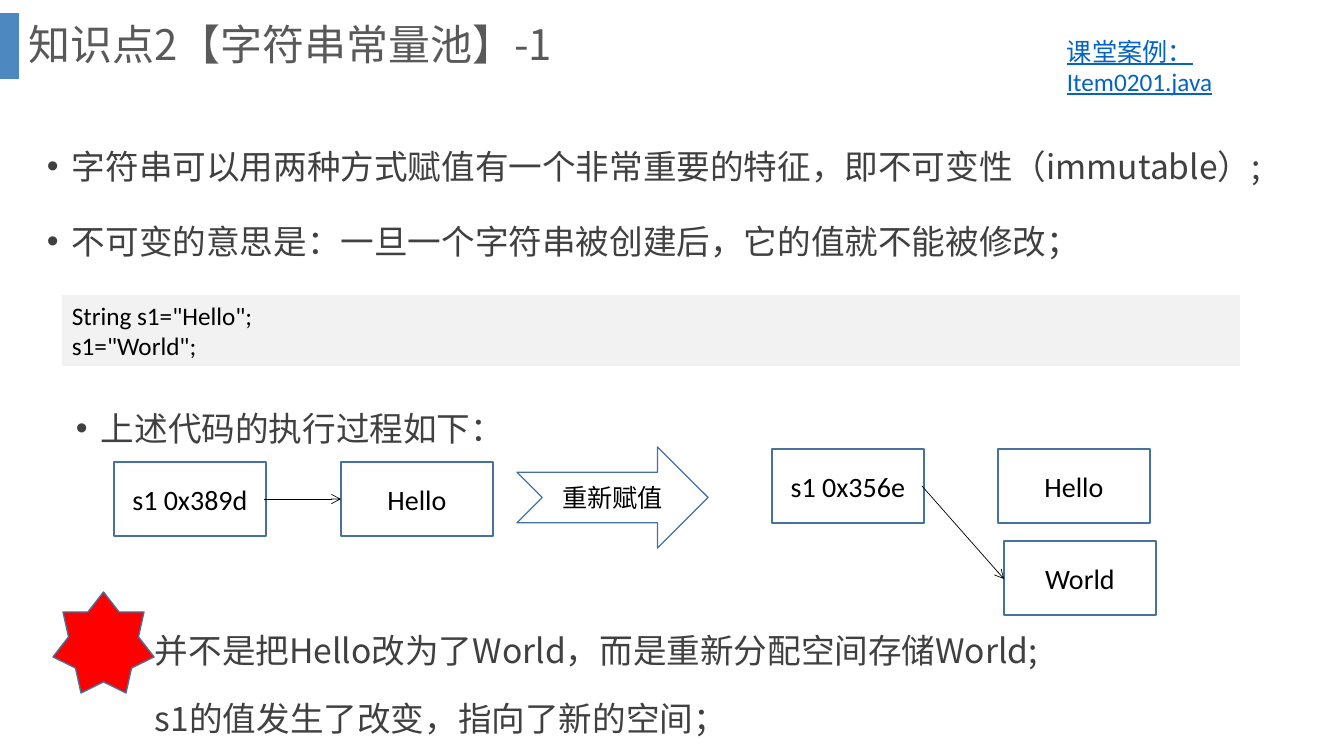
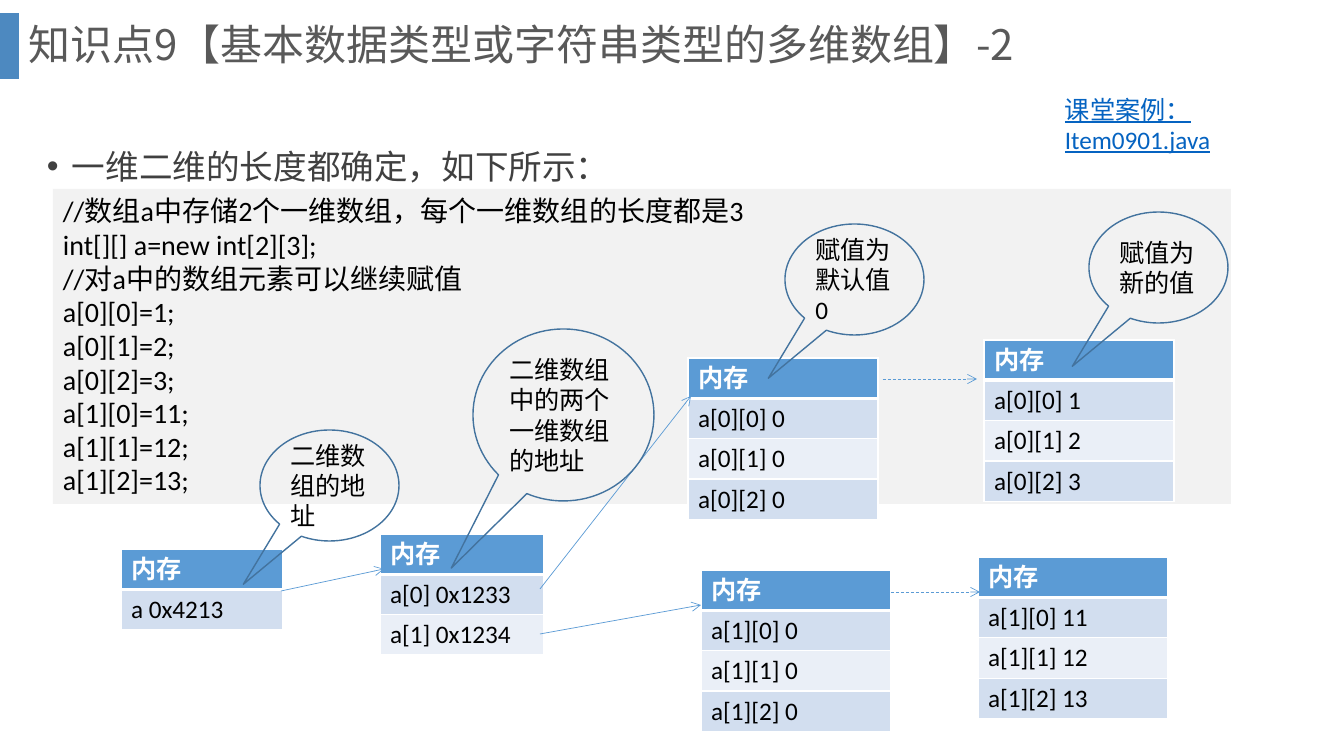
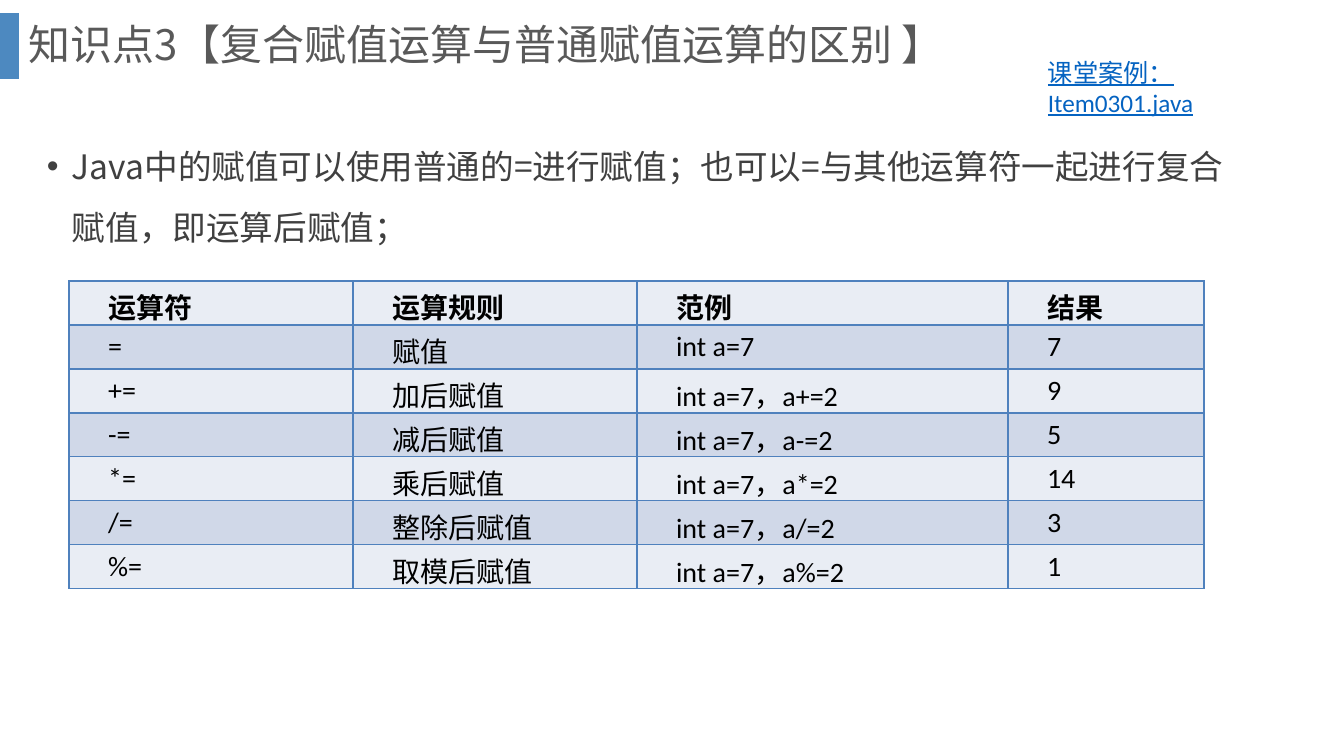
from dataclasses import dataclass
from lxml.etree import SubElement
from pptx import Presentation
from pptx.dml.color import RGBColor
from pptx.enum.dml import MSO_LINE_DASH_STYLE as Dash
from pptx.enum.shapes import MSO_CONNECTOR as Connector, MSO_SHAPE as Shape
from pptx.enum.text import MSO_ANCHOR as Anchor, PP_ALIGN as Align
from pptx.oxml.ns import qn
from pptx.util import Pt

# Content: boxes are (left, top, width, height) in pixels
POOL = {
    "title": "知识点2【字符串常量池】-1",
    "case": ("课堂案例：Item0201.java", (1057, 31)),
    "points": (["字符串可以用两种方式赋值有一个非常重要的特征，即不可变性（immutable）;",
                "不可变的意思是：一旦一个字符串被创建后，它的值就不能被修改；"],
               (37, 121, 1306, 161)),
    "code": (['String s1="Hello";', 's1="World";'], (62, 295, 1178, 71)),
    "process": (["上述代码的执行过程如下："], (66, 383, 1215, 56)),
    "notes": (["并不是把Hello改为了World，而是重新分配空间存储World;",
               "s1的值发生了改变，指向了新的空间；"], (94, 605, 1215, 151)),
    "cells": [("s1 0x389d", 114, 462), ("Hello", 341, 462), ("s1 0x356e", 772, 449),
              ("Hello", 998, 449), ("World", 1004, 541)],
    "reassign": ("重新赋值", (517, 447, 191, 101)),
    "star": (53, 592, 101, 101),
    "arrows": [(264, 499, 341, 499), (922, 486, 1004, 579)],
}
ARRAYS = {
    "title": "知识点9【基本数据类型或字符串类型的多维数组】-2",
    "case": ("课堂案例：Item0901.java", (1055, 89)),
    "points": (["一维二维的长度都确定，如下所示："], (37, 121, 1215, 78)),
    "code": (["//数组a中存储2个一维数组，每个一维数组的长度都是3", "int[][] a=new int[2][3];",
              "//对a中的数组元素可以继续赋值", "a[0][0]=1;", "a[0][1]=2;", "a[0][2]=3;",
              "a[1][0]=11;", "a[1][1]=12;", "a[1][2]=13;"], (53, 189, 1178, 315)),
    "memory": [((121, 549, 162), ["a 0x4213"]),
               ((380, 534, 164), ["a[0] 0x1233", "a[1] 0x1234"]),
               ((688, 358, 190), ["a[0][0] 0", "a[0][1] 0", "a[0][2] 0"]),
               ((701, 570, 190), ["a[1][0] 0", "a[1][1] 0", "a[1][2] 0"]),
               ((984, 340, 190), ["a[0][0] 1", "a[0][1] 2", "a[0][2] 3"]),
               ((978, 557, 190), ["a[1][0] 11", "a[1][1] 12", "a[1][2] 13"])],
    "links": [(540, 589, 691, 396), (540, 634, 701, 605), (281, 591, 384, 569)],
    "updates": [(883, 379, 977, 379), (886, 592, 980, 592)],
    "callouts": [("赋值为默认值0", (785, 224, 139, 111)),
                 ("二维数组的地址", (260, 430, 139, 111)),
                 ("二维数组中的两个一维数组的地址", (473, 329, 181, 172)),
                 ("赋值为新的值", (1089, 212, 139, 111))],
}
OPERATORS = {
    "title": "知识点3【复合赋值运算与普通赋值运算的区别 】",
    "case": ("课堂案例：Item0301.java", (1038, 52)),
    "points": (["Java中的赋值可以使用普通的=进行赋值；也可以=与其他运算符一起进行复合赋值，即运算后赋值；"],
               (37, 121, 1215, 243)),
    "table": [("运算符", "运算规则", "范例", "结果"),
              ("=", "赋值", "int a=7", "7"),
              ("+=", "加后赋值", "int a=7，a+=2", "9"),
              ("-=", "减后赋值", "int a=7，a-=2", "5"),
              ("*=", "乘后赋值", "int a=7，a*=2", "14"),
              ("/=", "整除后赋值", "int a=7，a/=2", "3"),
              ("%=", "取模后赋值", "int a=7，a%=2", "1")],
    "columns": (284, 284, 371, 196),
}


# Theme
@dataclass(frozen=True)
class Type:
    size: int
    color: str
    latin: str = "Calibri"
    asian: str = "Calibri"
    bold: bool = False
    underline: bool = False


class Theme:
    CJK = "Noto Sans CJK SC"
    BAR, CODE, OUTLINE, STAR = "2E75B6", "F2F2F2", "43739E", "FF0000"
    BLACK, WHITE, LINK = "000000", "FFFFFF", "5B9BD5"
    MEMORY_BANDS = ("D2DEEF", "EAEFF7")
    RULE_BANDS, RULE_BORDER = ("E9EDF4", "D0D8E8"), "4F81BD"
    title = Type(30, "595959", CJK, CJK)
    body = Type(24, "404040", CJK, CJK)
    case = Type(18, "0563C1", underline=True)
    small = Type(18, BLACK)
    large = Type(20, BLACK)
    memory_head = Type(18, WHITE, bold=True)
    rule = Type(20, BLACK, asian=CJK)
    rule_head = Type(20, BLACK, asian=CJK, bold=True)


SCALE = 914400 / 100.8


def px(*lengths):
    return [round(length * SCALE) for length in lengths]


def rgb(color):
    return RGBColor.from_string(color)


# Text
def write(frame, lines, style, align=None, spacing=None, before=None,
          margin=0, indent=0, bullet=False):
    frame.text = "\n".join(lines)
    for para in frame.paragraphs:
        para.alignment, para.line_spacing = align, spacing
        if before is not None:
            para.space_before = Pt(before)
        props = para._p.get_or_add_pPr()
        props.set("marL", str(px(margin)[0]))
        props.set("indent", str(px(indent)[0]))
        if bullet:
            SubElement(props, qn("a:buFont"), typeface="Arial")
            SubElement(props, qn("a:buChar"), char="•")
        for span in para.runs:
            font = span.font
            font.size, font.name = Pt(style.size), style.latin
            font.bold, font.underline = style.bold, style.underline
            font.color.rgb = rgb(style.color)
            SubElement(span._r.get_or_add_rPr(), qn("a:ea"), typeface=style.asian)


def add_text(page, box, lines, style, anchor=Anchor.TOP, **layout):
    frame = page.shapes.add_textbox(*px(*box)).text_frame
    frame.word_wrap, frame.vertical_anchor = True, anchor
    write(frame, lines, style, **layout)


def add_points(page, box, lines):
    add_text(page, box, lines, Theme.body, spacing=1.5, before=10,
             margin=25, indent=-25, bullet=True)


# Shapes and lines
def add_figure(page, kind, box, fill=None, line=Theme.OUTLINE, lines=(),
               style=Theme.small, anchor=Anchor.MIDDLE, align=Align.CENTER):
    figure = page.shapes.add_shape(kind, *px(*box))
    figure.shadow.inherit = False
    if fill:
        figure.fill.solid()
        figure.fill.fore_color.rgb = rgb(fill)
    else:
        figure.fill.background()
    if line:
        figure.line.color.rgb, figure.line.width = rgb(line), Pt(1)
    else:
        figure.line.fill.background()
    if lines:
        figure.text_frame.word_wrap = True
        figure.text_frame.vertical_anchor = anchor
        write(figure.text_frame, lines, style, align)
    return figure


def add_code(page, box, lines, style):
    add_figure(page, Shape.RECTANGLE, box, Theme.CODE, None, lines, style,
               Anchor.TOP, Align.LEFT)


def add_arrow(page, ends, color, dash=None):
    arrow = page.shapes.add_connector(Connector.STRAIGHT, *px(*ends))
    arrow.line.color.rgb, arrow.line.width = rgb(color), Pt(0.5)
    if dash:
        arrow.line.dash_style = dash
    SubElement(arrow.line._get_or_add_ln(), qn("a:tailEnd"), type="arrow")
    SubElement(arrow._element.spPr, qn("a:effectLst"))


# Tables
def fill_cell(cell, text, style, fill, border, bottom=1, **layout):
    props = cell._tc.get_or_add_tcPr()
    for side, width in (("L", 1), ("R", 1), ("T", 1), ("B", bottom)):
        edge = SubElement(props, qn(f"a:ln{side}"), w=str(Pt(width)))
        paint = SubElement(edge, qn("a:solidFill"))
        SubElement(paint, qn("a:srgbClr"), val=border)
    cell.fill.solid()
    cell.fill.fore_color.rgb = rgb(fill)
    write(cell.text_frame, [text], style, **layout)


def add_grid(page, left, top, widths, row_height, count):
    box = px(left, top, sum(widths), row_height * count)
    grid = page.shapes.add_table(count, len(widths), *box).table
    for column, width in zip(grid.columns, px(*widths)):
        column.width = width
    for row in grid.rows:
        row.height = px(row_height)[0]
    return grid


def add_memory(page, place, values):
    left, top, width = place
    grid = add_grid(page, left, top, [width], 40, len(values) + 1)
    fill_cell(grid.cell(0, 0), "内存", Theme.memory_head, Theme.LINK, Theme.WHITE, bottom=3)
    for i, value in enumerate(values):
        fill_cell(grid.cell(i + 1, 0), value, Theme.small,
                  Theme.MEMORY_BANDS[i % 2], Theme.WHITE)


# Parts shared by every slide
def start_page(deck, content):
    page = deck.slides.add_slide(deck.slide_layouts[6])
    bar = add_figure(page, Shape.RECTANGLE, (0, 13, 19, 66), Theme.BAR, None)
    tint = bar._element.spPr.find(qn("a:solidFill"))[0]
    SubElement(tint, qn("a:alpha"), val="85000")
    add_text(page, (19, 0, 1276, 94), [content["title"]], Theme.title,
             Anchor.MIDDLE, spacing=0.9)
    lines, box = content["points"]
    add_points(page, box, lines)
    case, place = content["case"]
    add_text(page, (*place, 230, 71), [case], Theme.case)
    return page


deck = Presentation()
deck.slide_width, deck.slide_height = px(1344, 756)

# String pool
page = start_page(deck, POOL)
lines, box = POOL["code"]
add_code(page, box, lines, Theme.small)
lines, box = POOL["process"]
add_points(page, box, lines)
for label, left, top in POOL["cells"]:
    add_figure(page, Shape.RECTANGLE, (left, top, 152, 74), lines=[label], style=Theme.large)
label, box = POOL["reassign"]
add_figure(page, Shape.NOTCHED_RIGHT_ARROW, box, lines=[label])
for ends in POOL["arrows"]:
    add_arrow(page, ends, Theme.BLACK)
lines, box = POOL["notes"]
add_text(page, box, lines, Theme.body, spacing=1.5, before=5, margin=76, indent=-25)
add_figure(page, Shape.STAR_7_POINT, POOL["star"], Theme.STAR)

# Multidimensional arrays
page = start_page(deck, ARRAYS)
lines, box = ARRAYS["code"]
add_code(page, box, lines, Theme.large)
for place, values in ARRAYS["memory"]:
    add_memory(page, place, values)
for ends in ARRAYS["links"]:
    add_arrow(page, ends, Theme.LINK)
for ends in ARRAYS["updates"]:
    add_arrow(page, ends, Theme.LINK, Dash.DASH)
for label, box in ARRAYS["callouts"]:
    callout = add_figure(page, Shape.OVAL_CALLOUT, box, lines=[label], align=Align.LEFT)
    callout.adjustments[0], callout.adjustments[1] = -0.62, 0.89

# Compound assignment
page = start_page(deck, OPERATORS)
rows = OPERATORS["table"]
grid = add_grid(page, 69, 281, OPERATORS["columns"], 44, len(rows))
for r, row in enumerate(rows):
    for c, text in enumerate(row):
        fill_cell(grid.cell(r, c), text, Theme.rule if r else Theme.rule_head,
                  Theme.RULE_BANDS[r % 2], Theme.RULE_BORDER,
                  align=Align.JUSTIFY, indent=29)

deck.save("out.pptx")
